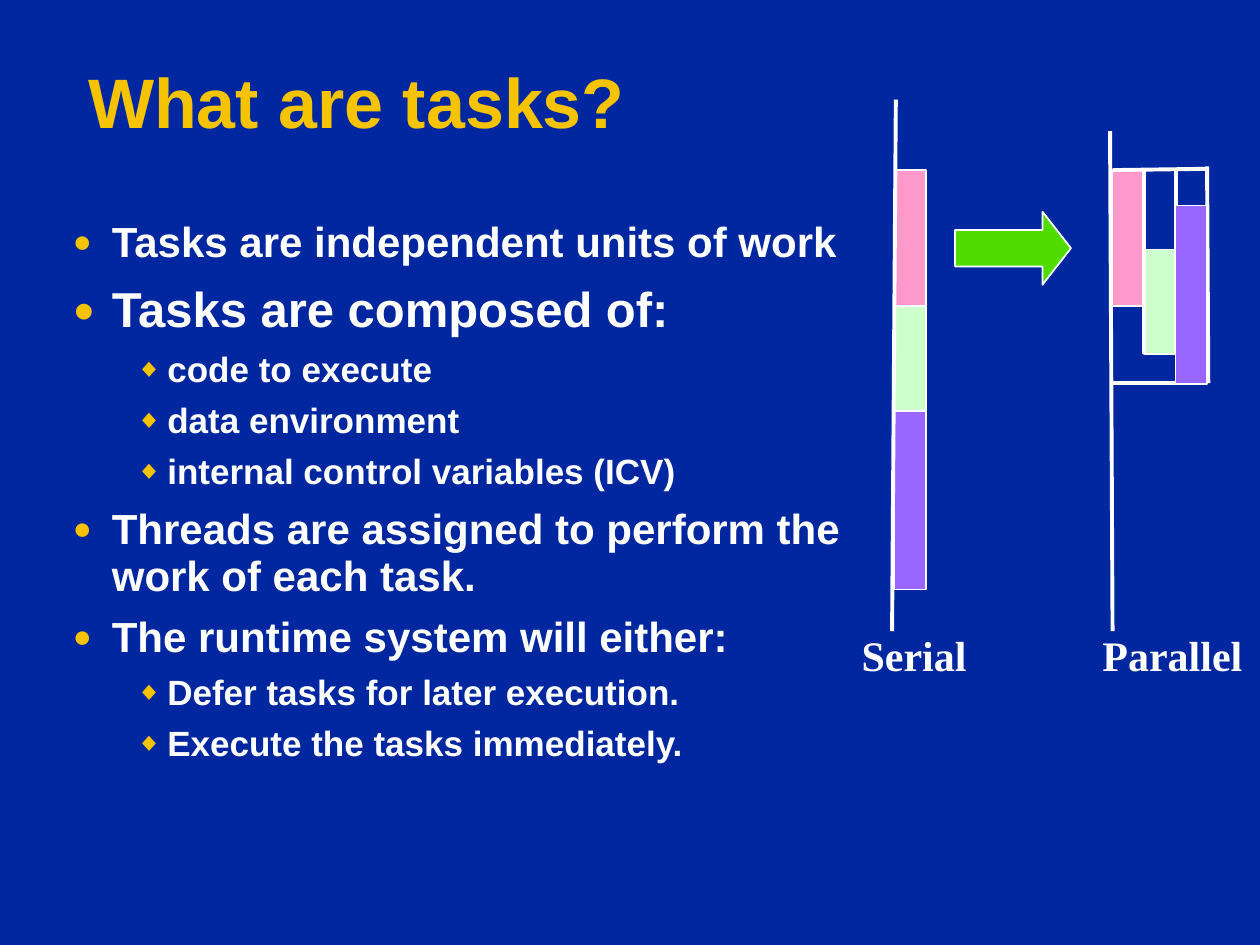
from lxml.etree import SubElement
from pptx import Presentation
from pptx.dml.color import RGBColor
from pptx.enum.shapes import MSO_CONNECTOR, MSO_SHAPE
from pptx.enum.text import MSO_ANCHOR, MSO_AUTO_SIZE, PP_ALIGN
from pptx.oxml.ns import qn
from pptx.util import Inches, Pt

NAVY, GOLD, WHITE, GREEN = "00279F", "F5C300", "FFFFFF", "51DC00"
PINK, MINT, PURPLE = "FF99CC", "CCFFCC", "9966FF"
BAR_W = 0.25
TASKS = [(PINK, 1.08, 1.35), (MINT, 0.83, 1.98), (PURPLE, 1.42, 1.63)]
SERIAL_X, PARALLEL_X, START_Y = 7.1, 8.83, 1.35
BULLETS = [
    (0, 24, "Tasks are independent units of work"),
    (0, 28, "Tasks are composed of:"),
    (1, 20, "code to execute"),
    (1, 20, "data environment"),
    (1, 20, "internal control variables (ICV)"),
    (0, 24, "Threads are assigned to perform the work of each task."),
    (0, 24, "The runtime system will either:"),
    (1, 20, "Defer tasks for later execution."),
    (1, 20, "Execute the tasks immediately."),
]
LEVELS = [("●", 0.31, 0.31), ("◆", 0.75, 0.25)]


def rgb(value):
    return RGBColor.from_string(value)


def apply(obj, values):
    for name, value in values.items():
        setattr(obj, name, value)


class Deck:
    font = {"name": "Arial", "bold": True}

    def __init__(self, prs):
        self.s = prs.slides.add_slide(prs.slide_layouts[5])
        fill = self.s.background.fill
        fill.solid()
        fill.fore_color.rgb = rgb(NAVY)

    def run(self, p, text, size, color=WHITE, **font):
        r = p.add_run()
        r.text = text
        apply(r.font, {**self.font, "size": Pt(size), **font})
        r.font.color.rgb = rgb(color)

    def title(self, text, box):
        sp = self.s.shapes.title
        apply(sp, dict(zip(("left", "top", "width", "height"), map(Inches, box))))
        tf = sp.text_frame
        apply(tf, {"vertical_anchor": MSO_ANCHOR.MIDDLE, "word_wrap": True,
                   "auto_size": MSO_AUTO_SIZE.NONE})
        p = tf.paragraphs[0]
        apply(p, {"alignment": PP_ALIGN.LEFT, "line_spacing": 0.87})
        self.run(p, text, 40, GOLD)

    def bullets(self, items, box):
        tf = self.s.shapes.add_textbox(*map(Inches, box)).text_frame
        tf.word_wrap = True
        for i, (level, size, text) in enumerate(items):
            p = tf.add_paragraph() if i else tf.paragraphs[0]
            char, margin, hang = LEVELS[level]
            pPr = p._p.get_or_add_pPr()
            pPr.set("marL", str(Inches(margin)))
            pPr.set("indent", str(-Inches(hang)))
            color = SubElement(pPr, qn("a:buClr"))
            SubElement(color, qn("a:srgbClr"), val=GOLD)
            SubElement(pPr, qn("a:buSzPct"), val="75000")
            SubElement(pPr, qn("a:buFont"), typeface="Arial")
            SubElement(pPr, qn("a:buChar"), char=char)
            apply(p, {"level": level, "line_spacing": 0.93,
                      "space_before": Pt(size * 0.345 if i else 0)})
            self.run(p, text, size)

    def label(self, text, box):
        tf = self.s.shapes.add_textbox(*map(Inches, box)).text_frame
        apply(tf, {"word_wrap": False, "auto_size": MSO_AUTO_SIZE.SHAPE_TO_FIT_TEXT})
        p = tf.paragraphs[0]
        p.alignment = PP_ALIGN.CENTER
        self.run(p, text, 24, name="Times New Roman")

    def shape(self, kind, box, color):
        sp = self.s.shapes.add_shape(kind, *map(Inches, box))
        sp.shadow.inherit = False
        sp.fill.solid()
        sp.fill.fore_color.rgb = rgb(color)
        sp.line.color.rgb = rgb(WHITE)
        sp.line.width = Pt(1)
        return sp

    def line(self, *ends):
        cx = self.s.shapes.add_connector(MSO_CONNECTOR.STRAIGHT, *map(Inches, ends))
        cx.line.color.rgb = rgb(WHITE)
        cx.line.width = Pt(2.25)
        SubElement(cx._element.spPr, qn("a:effectLst"))

    def parallel_bar(self, column):
        color, height, top = TASKS[column]
        x = PARALLEL_X + column * BAR_W
        self.shape(MSO_SHAPE.RECTANGLE, (x, top, BAR_W, height), color)


def main():
    prs = Presentation()
    apply(prs, {"slide_width": Inches(10), "slide_height": Inches(7.5)})
    deck = Deck(prs)
    deck.title("What are tasks?", (0.6, 0.61, 9.01, 0.47))
    deck.bullets(BULLETS, (0.48, 1.7, 6.4, 5.05))

    y = START_Y
    for color, height, _ in TASKS:
        deck.shape(MSO_SHAPE.RECTANGLE, (SERIAL_X, y, BAR_W, height), color)
        y += height
    deck.line(7.11, 0.79, 7.08, 5.01)

    for column in (0, 1):
        deck.parallel_bar(column)
    for ends in [
        (8.81, 1.04, 8.83, 5.01),
        (9.08, 1.35, 9.08, 2.81),
        (9.33, 1.35, 9.33, 2.82),
        (9.58, 3.04, 8.83, 3.04),
        (9.57, 1.34, 8.83, 1.35),
    ]:
        deck.line(*ends)

    arrow = deck.shape(MSO_SHAPE.RIGHT_ARROW, (7.58, 1.68, 0.92, 0.58), GREEN)
    arrow.adjustments[1] = 0.39
    deck.label("Serial", (6.7, 4.95, 1.11, 0.5))
    deck.label("Parallel", (8.61, 4.95, 1.39, 0.5))
    deck.line(9.58, 1.32, 9.59, 3.04)
    deck.parallel_bar(2)
    prs.save("out.pptx")


if __name__ == "__main__":
    main()
